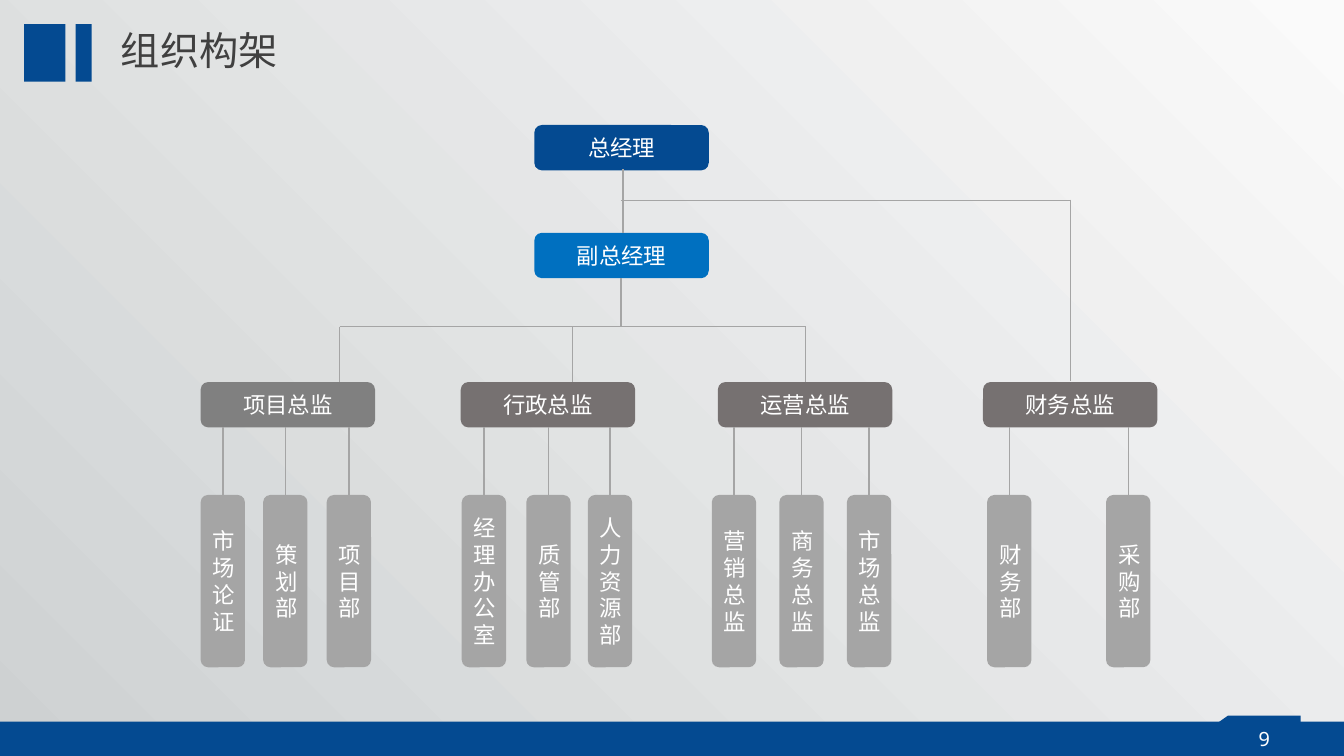
from lxml import etree
from pptx import Presentation
from pptx import util as u
from pptx.dml.color import RGBColor
from pptx.enum import shapes, text
from pptx.oxml.ns import qn

FONT = "Noto Sans Mono"
NAVY, BLUE, GREY, DARK, PALE = "044A91", "0070C0", "808080", "767171", "A5A5A5"
KIND = shapes.MSO_SHAPE
BOX_W, BOX_H = 1.73, 0.45
DEPT_W, DEPT_H = 0.44, 1.71
HEAD_Y, DEPT_Y, BUS_Y = 3.79, 4.91, 3.24
TEAMS = [
    ("项目总监", 1.99, GREY, [("市场论证", 1.99), ("策划部", 2.61), ("项目部", 3.24)]),
    ("行政总监", 4.57, DARK, [("经理办公室", 4.58), ("质管部", 5.22), ("人力资源部", 5.83)]),
    ("运营总监", 7.12, DARK, [("营销总监", 7.06), ("商务总监", 7.73), ("市场总监", 8.4)]),
    ("财务总监", 9.75, DARK, [("财务部", 9.79), ("采购部", 10.97)]),
]


def color(code):
    """Turn a hex string into a colour."""
    return RGBColor.from_string(code)


def write(frame, words, size=16, ink="FFFFFF", align=text.PP_ALIGN.CENTER,
          anchor=text.MSO_ANCHOR.MIDDLE, wrap=True, gap=None):
    """Put one formatted paragraph in a text frame."""
    frame.word_wrap = wrap
    frame.vertical_anchor = anchor
    para = frame.paragraphs[0]
    para.alignment = align
    para.line_spacing = gap
    run = para.add_run()
    run.text = words
    run.font.name = FONT
    run.font.size = u.Pt(size)
    run.font.color.rgb = color(ink)


def block(slide, kind, x, y, w, h, fill, words=None):
    """Draw a filled shape, with a label if given."""
    shape = slide.shapes.add_shape(kind, *map(u.Inches, (x, y, w, h)))
    shape.shadow.inherit = False
    shape.fill.solid()
    shape.fill.fore_color.rgb = color(fill)
    shape.line.fill.background()
    if words:
        write(shape.text_frame, words)
    return shape


def line(slide, x1, y1, x2, y2):
    """Draw a thin grey line."""
    link = slide.shapes.add_connector(
        shapes.MSO_CONNECTOR.STRAIGHT, *map(u.Inches, (x1, y1, x2, y2)))
    link.line.color.rgb = color(PALE)
    link.line.width = u.Pt(1)
    etree.SubElement(link._element.spPr, qn("a:effectLst"))


def paint(slide):
    """Fill the background with a diagonal gradient."""
    fill = slide.background.fill
    fill.gradient()
    fill.gradient_angle = 45
    for stop, code, place in zip(fill.gradient_stops, ("CED1D2", "FAFAFA"), (0, 1)):
        stop.color.rgb = color(code)
        stop.position = place


def frame(slide):
    """Draw the footer, page number and title."""
    block(slide, KIND.RECTANGLE, 0, 7.16, 13.33, 0.34, NAVY)
    block(slide, KIND.RECTANGLE, 12.18, 7.1, 0.72, 0.43, NAVY)
    notch = block(slide, KIND.RIGHT_TRIANGLE, 11.98, 7.1, 0.2, 0.14, NAVY)
    notch._element.spPr.find(qn("a:xfrm")).set("flipH", "1")
    page = slide.shapes.add_textbox(*map(u.Inches, (12.32, 7.16, 0.44, 0.34)))
    write(page.text_frame, "9", size=14, anchor=text.MSO_ANCHOR.TOP, wrap=False)
    for x, w in ((0.24, 0.41), (0.75, 0.16)):
        block(slide, KIND.RECTANGLE, x, 0.24, w, 0.57, NAVY)
    title = slide.shapes.title
    title.left, title.top, title.width, title.height = map(
        u.Inches, (1.1, 0.24, 5.25, 0.57))
    write(title.text_frame, "组织构架", size=28, ink="404040",
          align=text.PP_ALIGN.LEFT, gap=0.9)


def chart(slide):
    """Draw the boxes and lines of the organisation."""
    for words, y, fill in (("总经理", 1.24, NAVY), ("副总经理", 2.31, BLUE)):
        block(slide, KIND.ROUNDED_RECTANGLE, 5.3, y, BOX_W, BOX_H, fill, words)
    for head, x, fill, depts in TEAMS:
        block(slide, KIND.ROUNDED_RECTANGLE, x, HEAD_Y, BOX_W, BOX_H, fill, head)
        for dept, left in depts:
            block(slide, KIND.ROUNDED_RECTANGLE, left, DEPT_Y, DEPT_W, DEPT_H, PALE, dept)
            mid = left + DEPT_W / 2
            line(slide, mid, HEAD_Y + BOX_H, mid, DEPT_Y)
    line(slide, 6.16, 2.76, 6.16, BUS_Y)
    line(slide, 3.37, BUS_Y, 7.99, BUS_Y)
    for x in (3.37, 5.68, 7.99):
        line(slide, x, BUS_Y, x, HEAD_Y)
    line(slide, 6.18, 1.68, 6.18, 2.31)
    line(slide, 6.16, 1.99, 10.62, 1.99)
    line(slide, 10.62, 1.98, 10.62, 3.78)


def main():
    """Build and save the slide."""
    deck = Presentation()
    deck.slide_width, deck.slide_height = u.Inches(13.33), u.Inches(7.5)
    slide = deck.slides.add_slide(deck.slide_layouts[5])
    paint(slide)
    frame(slide)
    chart(slide)
    deck.save("out.pptx")


if __name__ == "__main__":
    main()
